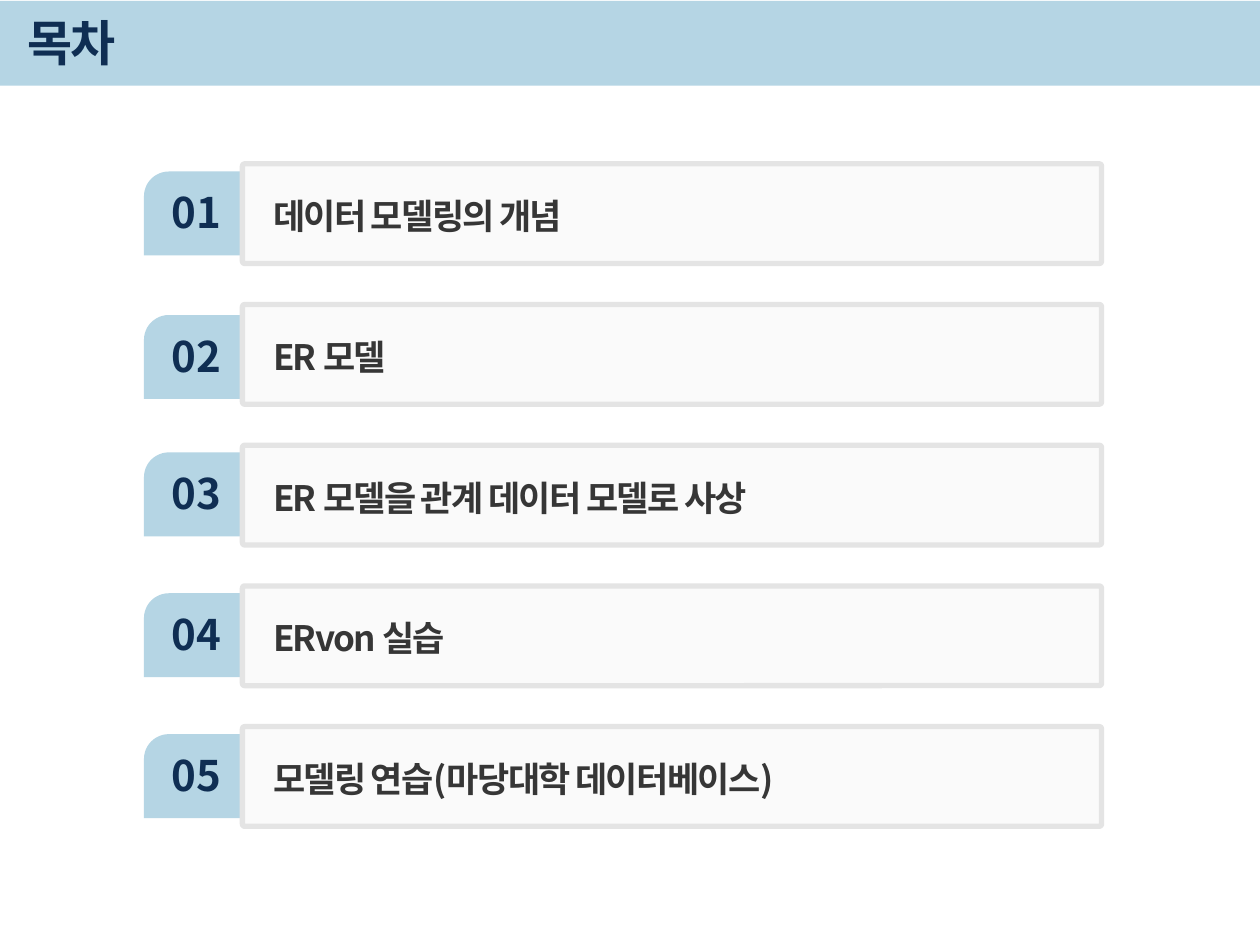
"""Build a table-of-contents slide with five numbered entries."""
from lxml import etree
from pptx import Presentation
from pptx.dml.color import RGBColor
from pptx.enum.shapes import MSO_SHAPE
from pptx.enum.text import MSO_ANCHOR, MSO_AUTO_SIZE, PP_ALIGN
from pptx.oxml.ns import qn
from pptx.util import Pt

RECT, CARD, TAB = MSO_SHAPE.RECTANGLE, MSO_SHAPE.ROUNDED_RECTANGLE, MSO_SHAPE.SNIP_ROUND_RECTANGLE
LEFT, CENTER = PP_ALIGN.LEFT, PP_ALIGN.CENTER
TOP, MIDDLE = MSO_ANCHOR.TOP, MSO_ANCHOR.MIDDLE
GROW, FIXED = MSO_AUTO_SIZE.SHAPE_TO_FIT_TEXT, MSO_AUTO_SIZE.NONE

THEME = {
    "font": "Noto Sans CJK KR",
    "band": RGBColor.from_string("B5D5E4"),
    "card": RGBColor.from_string("F2F2F2"),
    "card_line": RGBColor.from_string("E4E4E4"),
    "navy": RGBColor.from_string("0F2E53"),
    "ink": RGBColor.from_string("363636"),
    "title_size": Pt(28),
    "number_size": Pt(24),
    "entry_size": Pt(20),
}
ENTRIES = [
    ("데이터 모델링의 개념", 98),
    ("ER 모델", 180),
    ("ER 모델을 관계 데이터 모델로 사상", 258.5),
    ("ERvon 실습", 339),
    ("모델링 연습(마당대학 데이터베이스)", 419.5),
]
FIRST_CARD_TOP, CARD_PITCH = 93.6, 80.4


def add_panel(shapes, kind, box, fill, adjustments=()):
    panel = shapes.add_shape(kind, *map(Pt, box))
    panel.shadow.inherit = False
    panel.fill.solid()
    panel.fill.fore_color.rgb = fill
    panel.line.fill.background()
    for index, value in enumerate(adjustments):
        panel.adjustments[index] = value
    return panel


def write(holder, text, size, color, frame_format, align=LEFT, tracking=0):
    frame = holder.text_frame
    frame.text = text
    for name, value in frame_format.items():
        setattr(frame, name, value)
    line = frame.paragraphs[0]
    line.alignment = align
    font = line.runs[0].font
    for name, value in {"name": THEME["font"], "size": size, "bold": True}.items():
        setattr(font, name, value)
    font.color.rgb = color
    properties = line.runs[0]._r.get_or_add_rPr()
    properties.set("spc", str(tracking))
    etree.SubElement(properties, qn("a:ea")).set("typeface", THEME["font"])
    return line


deck = Presentation()
deck.slide_width, deck.slide_height = Pt(720), Pt(540)
slide = deck.slides.add_slide(deck.slide_layouts[5])

band = add_panel(slide.shapes, RECT, (0, 0.5, 720, 48.5), THEME["band"])
slide.shapes._spTree.insert(2, band._element)

heading = slide.shapes.title
for name, value in {"left": 8.5, "top": 5, "width": 613, "height": 37.5}.items():
    setattr(heading, name, Pt(value))
write(heading, "목차", THEME["title_size"], THEME["navy"],
      {"vertical_anchor": MIDDLE, "word_wrap": True, "auto_size": FIXED}, tracking=-100)

for index, (topic, tab_top) in enumerate(ENTRIES):
    card_top = FIRST_CARD_TOP + index * CARD_PITCH
    row = slide.shapes.add_group_shape().shapes

    add_panel(row, TAB, (82.3, tab_top, 57.5, 48), THEME["band"], (0.296, 0))
    number = row.add_textbox(*map(Pt, (91, tab_top + 5.2, 42.5, 36)))
    write(number, f"{index + 1:02d}", THEME["number_size"], THEME["navy"],
          {"vertical_anchor": TOP, "word_wrap": False, "auto_size": GROW}, CENTER)

    card = add_panel(row, CARD, (138.5, card_top, 491, 57), THEME["card"], (0.023,))
    card.line.color.rgb = THEME["card_line"]
    card.line.width = Pt(3)
    tint = card.fill._xPr.find(qn("a:solidFill"))[0]
    etree.SubElement(tint, qn("a:alpha")).set("val", "33000")

    entry = row.add_textbox(*map(Pt, (149, card_top + 11.7, 380, 31.5)))
    line = write(entry, topic, THEME["entry_size"], THEME["ink"],
                 {"vertical_anchor": TOP, "word_wrap": True, "auto_size": GROW}, tracking=-100)
    line.line_spacing = 1.1
    line.space_after = Pt(3)

deck.save("out.pptx")
